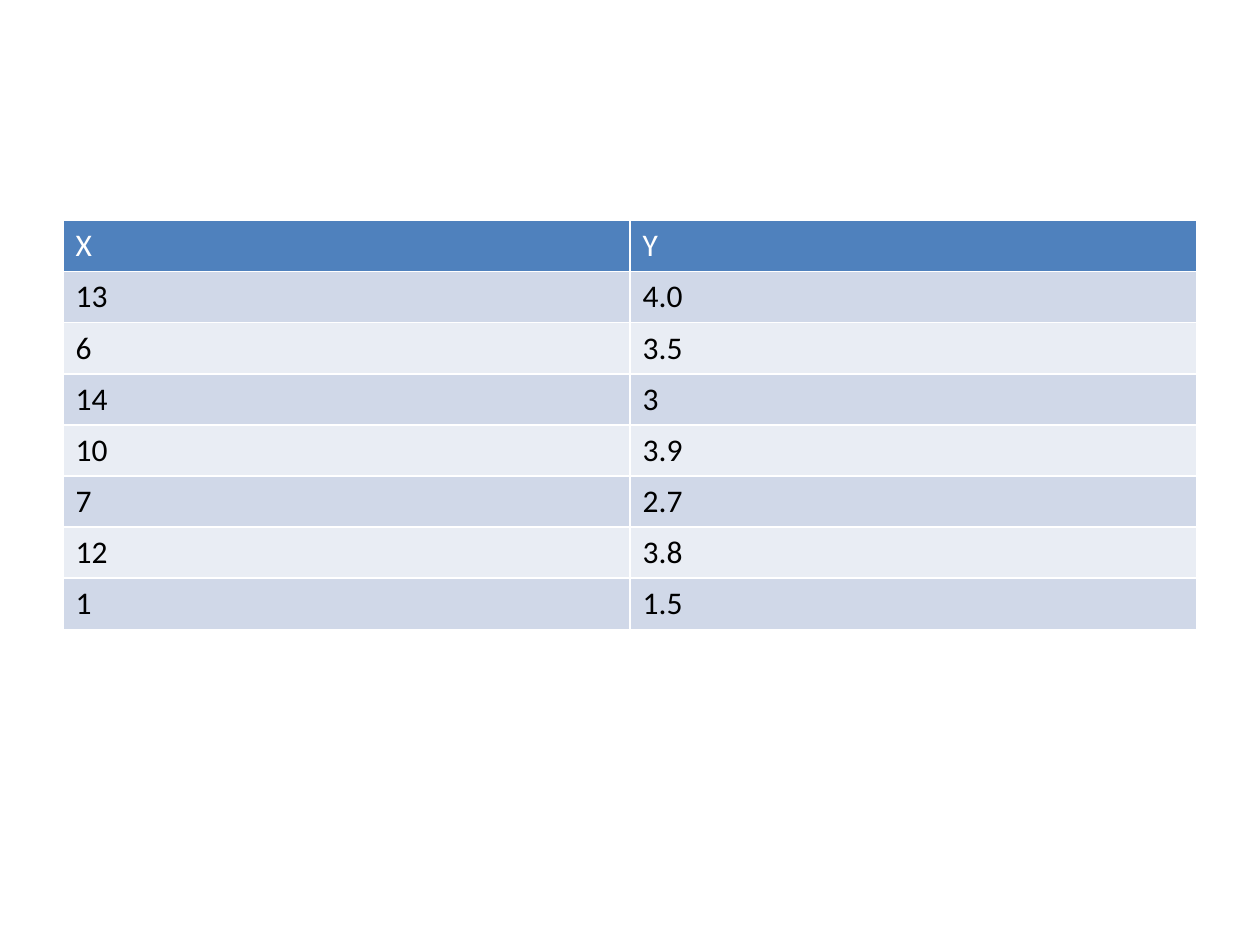
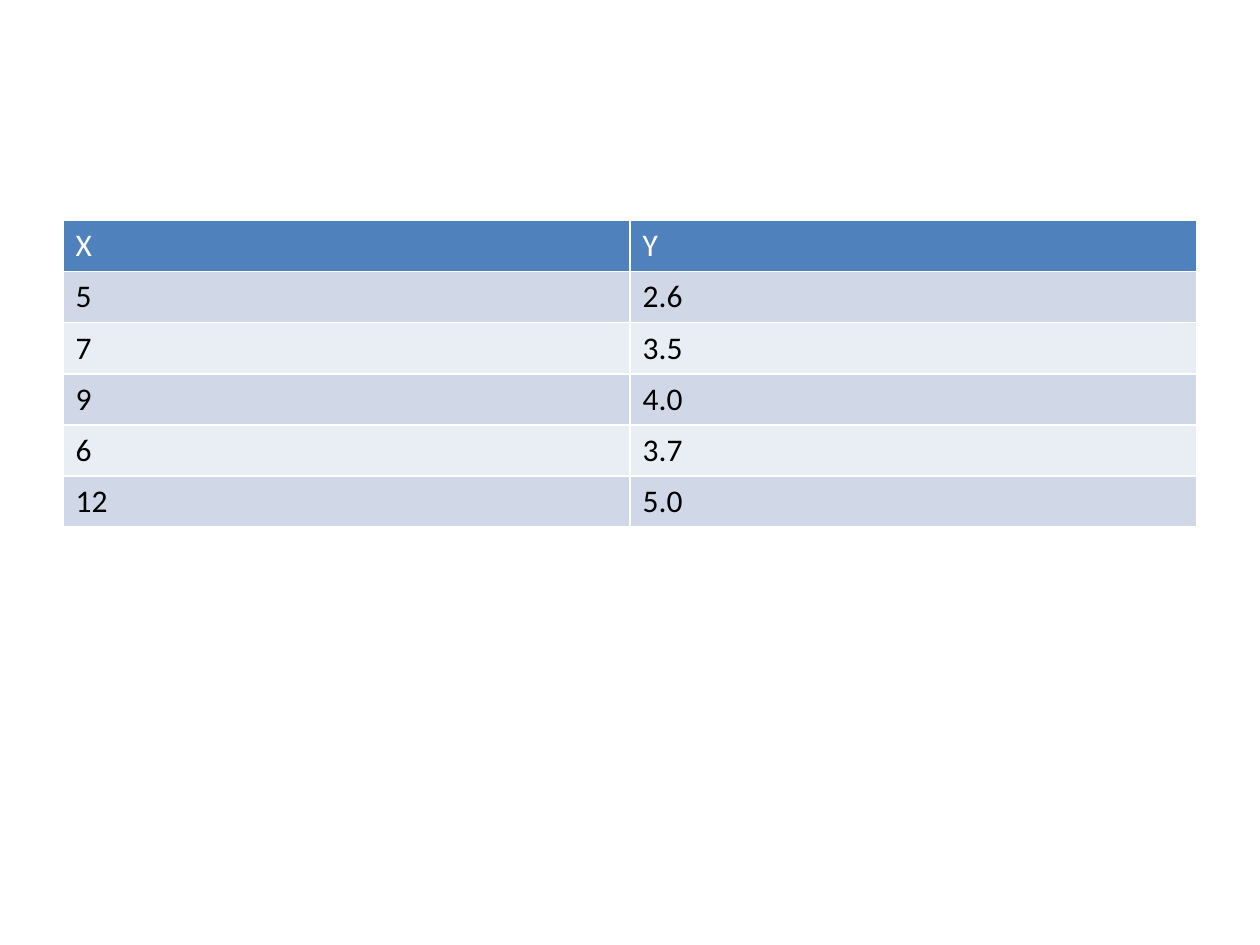
from dataclasses import dataclass

from pptx import Presentation
from pptx.dml.color import RGBColor
from pptx.util import Inches, Pt

HEADS = ("X", "Y")
TABLES = [
    [("13", "4.0"), ("6", "3.5"), ("14", "3"), ("10", "3.9"),
     ("7", "2.7"), ("12", "3.8"), ("1", "1.5")],
    [("5", "2.6"), ("7", "3.5"), ("9", "4.0"), ("6", "3.7"), ("12", "5.0")],
]


@dataclass(frozen=True)
class Theme:
    font: str = "Calibri"
    size: int = 18
    head: str = "4F81BD"
    bands: tuple = ("D0D8E8", "E9EDF4")
    light: str = "FFFFFF"
    dark: str = "000000"


THEME = Theme()
LEFT, TOP, WIDTH, ROW = 0.5, 1.75, 9, 0.4


def fill_cell(cell, text, back, color):
    cell.fill.solid()
    cell.fill.fore_color.rgb = RGBColor.from_string(back)
    cell.text_frame.text = text
    font = cell.text_frame.paragraphs[0].runs[0].font
    font.name = THEME.font
    font.size = Pt(THEME.size)
    font.bold = False
    font.color.rgb = RGBColor.from_string(color)


def add_grid(slide, pairs):
    rows = [HEADS, *pairs]
    table = slide.shapes.add_table(
        len(rows), len(HEADS), Inches(LEFT), Inches(TOP),
        Inches(WIDTH), Inches(ROW * len(rows))).table
    for r, row in enumerate(rows):
        back = THEME.bands[(r - 1) % 2] if r else THEME.head
        color = THEME.dark if r else THEME.light
        for c, text in enumerate(row):
            fill_cell(table.cell(r, c), text, back, color)


def main():
    deck = Presentation()
    deck.slide_width, deck.slide_height = Inches(10), Inches(7.5)
    for pairs in TABLES:
        add_grid(deck.slides.add_slide(deck.slide_layouts[6]), pairs)
    deck.save("out.pptx")


if __name__ == "__main__":
    main()
